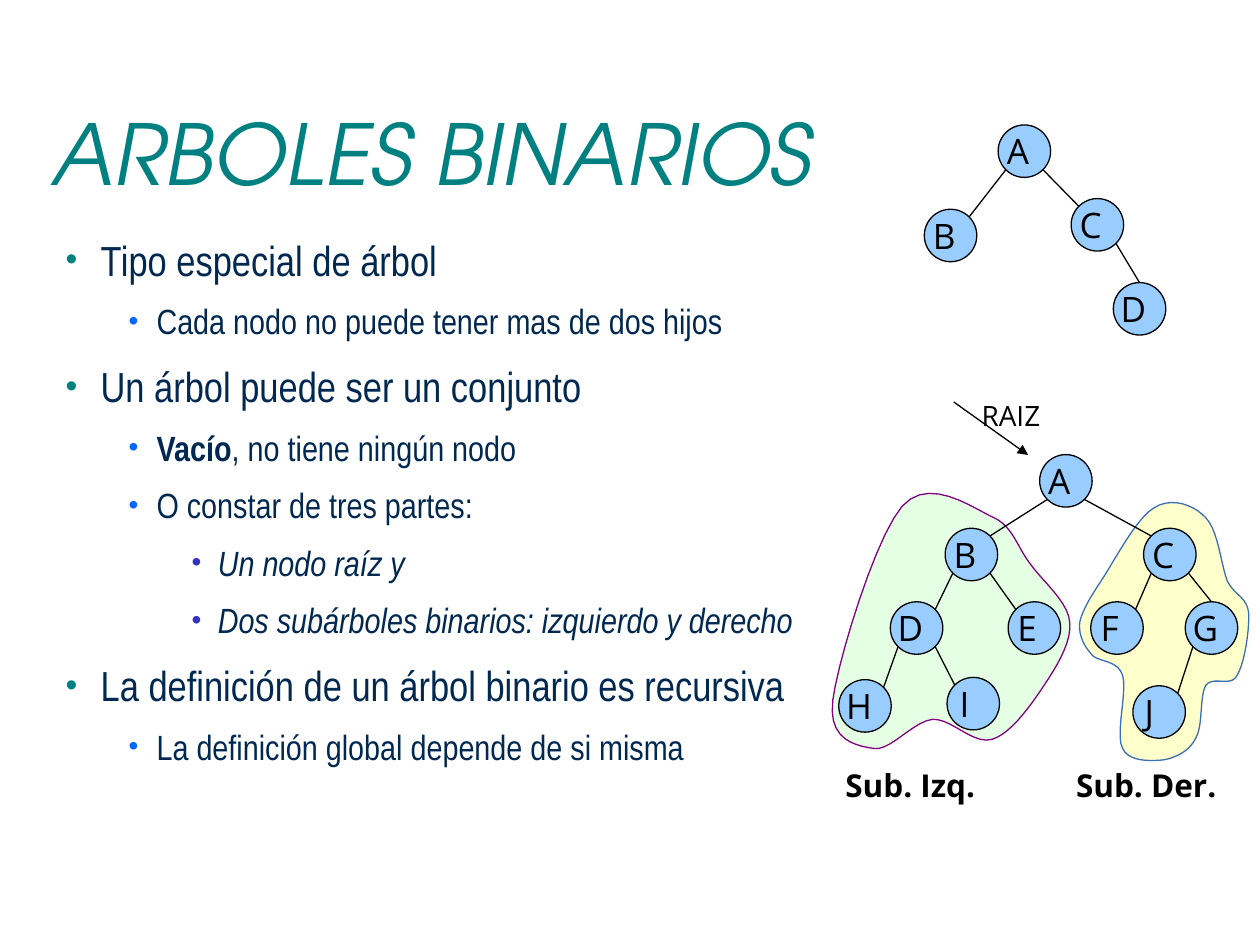
from pptx import Presentation
from pptx.dml.color import RGBColor
from pptx.enum.shapes import MSO_CONNECTOR as Link, MSO_SHAPE as Form
from pptx.enum.text import MSO_ANCHOR as Anchor
from pptx.oxml.ns import qn
from pptx.util import Pt
from lxml.etree import SubElement as Sub

hue = RGBColor.from_string
INK, NAVY, TEAL = "000000", "002850", "008080"

deck = Presentation()
deck.slide_width, deck.slide_height = Pt(720), Pt(540)
slide = deck.slides.add_slide(deck.slide_layouts[6])
shapes = slide.shapes


def frame(home, x, y, w, h, pad=0, anchor=Anchor.TOP):
    tf = home.add_textbox(Pt(x), Pt(y), Pt(w), Pt(h)).text_frame
    tf.word_wrap = True
    tf.vertical_anchor = anchor
    tf.margin_left = tf.margin_right = Pt(pad)
    tf.margin_top = tf.margin_bottom = Pt(pad)
    return tf


def put(para, text, size=20, color=INK, face="Open Sans", bold=False, italic=False):
    run = para.add_run()
    run.text = text
    font = run.font
    font.size, font.name = Pt(size), face
    font.bold, font.italic = bold, italic
    font.color.rgb = hue(color)


# Title
title = frame(shapes, 30, 42, 648, 90, anchor=Anchor.MIDDLE)
put(title.paragraphs[0], "ARBOLES BINARIOS", size=48, color=TEAL,
    face="TeX Gyre Adventor", italic=True)

# Bullet list: left, hanging, space before, size, bullet colour per level
levels = [(20, 20, 5, 24, TEAL), (52, 16, 4, 20, "0066FF"), (87, 15, 4, 20, "3333CC")]
items = [
    (0, "", "Tipo especial de árbol"),
    (1, "", "Cada nodo no puede tener mas de dos hijos"),
    (0, "", "Un árbol puede ser un conjunto"),
    (1, "Vacío", ", no tiene ningún nodo"),
    (1, "", "O constar de tres partes:"),
    (2, "", "Un nodo raíz y"),
    (2, "", "Dos subárboles binarios: izquierdo y derecho"),
    (0, "", "La definición de un árbol binario es recursiva"),
    (1, "", "La definición global depende de si misma"),
]
body = frame(shapes, 37.5, 128, 498, 357)
for i, (level, lead, text) in enumerate(items):
    left, hang, gap, size, dot = levels[level]
    para = body.add_paragraph() if i else body.paragraphs[0]
    para.level = level
    para.line_spacing, para.space_before = 1.2, Pt(gap)
    props = para._p.get_or_add_pPr()
    props.set("marL", str(Pt(left)))
    props.set("indent", str(-Pt(hang)))
    Sub(Sub(props, qn("a:buClr")), qn("a:srgbClr"), val=dot)
    Sub(props, qn("a:buSzPct"), val="80000")
    Sub(props, qn("a:buFont"), typeface="Arial")
    Sub(props, qn("a:buChar"), char="•")
    if lead:
        put(para, lead, size=size, color=NAVY, face="Arial Narrow", bold=True)
    put(para, text, size=size, color=NAVY, face="Arial Narrow", italic=level == 2)

# Subtree regions: start point, then two control points and an end per curve
left_area = [
    (515.5, 289.4),
    (530.6, 272.2), (554.4, 289.4), (566.6, 295.2),
    (578.9, 300.2), (581, 312.5), (589, 322.6),
    (596.2, 332.6), (610.6, 344.2), (611.3, 355.7),
    (612.7, 367.9), (601.9, 383.8), (594.7, 394.6),
    (586.8, 406.1), (576.7, 419.8), (566.6, 422.6),
    (555.8, 425.5), (543.6, 410.4), (532.8, 411.1),
    (521.3, 412.6), (508.3, 429.8), (499, 427.7),
    (489.6, 426.2), (473, 423.4), (475.9, 400.3),
    (478.8, 377.3), (500.4, 306.7), (515.5, 289.4),
]
right_area = [
    (659.5, 290.2),
    (669.6, 283.7), (682.6, 288.7), (689, 295.9),
    (696.2, 303.1), (697.7, 322.6), (701.3, 331.9),
    (705.6, 340.6), (712.1, 340.6), (713.5, 349.9),
    (714.2, 358.6), (711.4, 378.7), (707, 385.9),
    (703.4, 393.1), (693.4, 385.9), (689, 391.7),
    (685.4, 398.2), (687.6, 414.7), (683.3, 421.9),
    (679.7, 429.1), (672.5, 432.7), (665.3, 434.2),
    (658.1, 434.9), (645.1, 435.6), (641.5, 427.7),
    (637.2, 419.8), (644.4, 394.6), (641.5, 385.9),
    (638.6, 376.6), (627.1, 378.7), (623.5, 373.7),
    (619.2, 368.6), (616.3, 362.9), (617, 355.7),
    (618.5, 349.2), (622.1, 342.7), (629.3, 331.9),
    (636.5, 321.1), (649.4, 295.9), (659.5, 290.2),
]
STEPS = 10
for area, fill, edge in [(left_area, "CCFFCC", "800080"), (right_area, "FFFF99", "3A6EB5")]:
    dots = []
    for i in range(0, len(area) - 1, 3):
        for t in (n / STEPS for n in range(1, STEPS + 1)):
            mix = ((1 - t) ** 3, 3 * t * (1 - t) ** 2, 3 * t * t * (1 - t), t ** 3)
            dots.append(tuple(Pt(sum(m * p[k] for m, p in zip(mix, area[i:i + 4])))
                              for k in (0, 1)))
    pen = shapes.build_freeform(Pt(area[0][0]), Pt(area[0][1]))
    pen.add_line_segments(dots, close=True)
    blob = pen.convert_to_shape()
    blob.shadow.inherit = False
    blob.fill.solid()
    blob.fill.fore_color.rgb = hue(fill)
    tint = blob._element.spPr.find(qn("a:solidFill")).find(qn("a:srgbClr"))
    Sub(tint, qn("a:alpha"), val="50000")
    blob.line.color.rgb = hue(edge)
    blob.line.width = Pt(0.75)

# Trees: node centres, edges, and nodes whose edge ends at the top
small = {"A": (585.4, 86.4), "B": (543.2, 134.6), "C": (627.1, 128.5), "D": (651.2, 176.5)}
large = {"A": (609.1, 274.8), "B": (555.1, 316.9), "C": (668.5, 316.9),
         "D": (523.8, 358.9), "E": (591.1, 358.9), "F": (638.3, 358.9),
         "G": (692.3, 358.9), "H": (494.3, 403.4), "I": (556.2, 402.1),
         "J": (662.4, 406.9)}
trees = [(small, "AB AC CD", "D"), (large, "AB BD BE DH DI AC CF CG GJ", "G")]
wide = {"D": 21.6, "E": 19.4, "F": 18.7, "G": 21.6, "H": 21.6, "I": 15.8, "J": 16.6}
R, K = 15, 10.6
lines = []
for nodes, edges, top in trees:
    group = shapes.add_group_shape().shapes
    for name, (x, y) in nodes.items():
        node = group.add_shape(Form.OVAL, Pt(x - R), Pt(y - R), Pt(2 * R), Pt(2 * R))
        node.shadow.inherit = False
        node.fill.solid()
        node.fill.fore_color.rgb = hue("99CCFF")
        node.line.color.rgb = hue(INK)
        node.line.width = Pt(0.75)
        w = wide.get(name, 20.2)
        label = frame(group, x - w / 2, y - 15.7, w, 31, anchor=Anchor.MIDDLE)
        put(label.paragraphs[0], name)
    for up, down in edges.split():
        (x1, y1), (x2, y2) = nodes[up], nodes[down]
        side = K if x2 > x1 else -K
        end = (x2, y2 - R) if down == top else (x2 - side, y2 - K)
        lines.append(group.add_connector(Link.STRAIGHT, Pt(x1 + side), Pt(y1 + K),
                                         Pt(end[0]), Pt(end[1])))

# Root arrow
arrow = shapes.add_connector(Link.STRAIGHT, Pt(545), Pt(229.7), Pt(587.5), Pt(260))
lines.append(arrow)
for line in lines:
    line.line.color.rgb = hue(INK)
    line.line.width = Pt(0.75)
    Sub(line._element.spPr, qn("a:effectLst"))
Sub(arrow.line._get_or_add_ln(), qn("a:tailEnd"), type="triangle")

# Captions
for text, x, y, w, h, size, bold in [
    ("RAIZ", 557.3, 224, 96, 26, 16, False),
    ("Sub. Izq.", 479.5, 434, 102, 29.5, 18, True),
    ("Sub. Der.", 611.3, 434, 102, 29.5, 18, True),
]:
    put(frame(shapes, x, y, w, h, pad=3.6).paragraphs[0], text, size=size, bold=bold)

deck.save("out.pptx")
